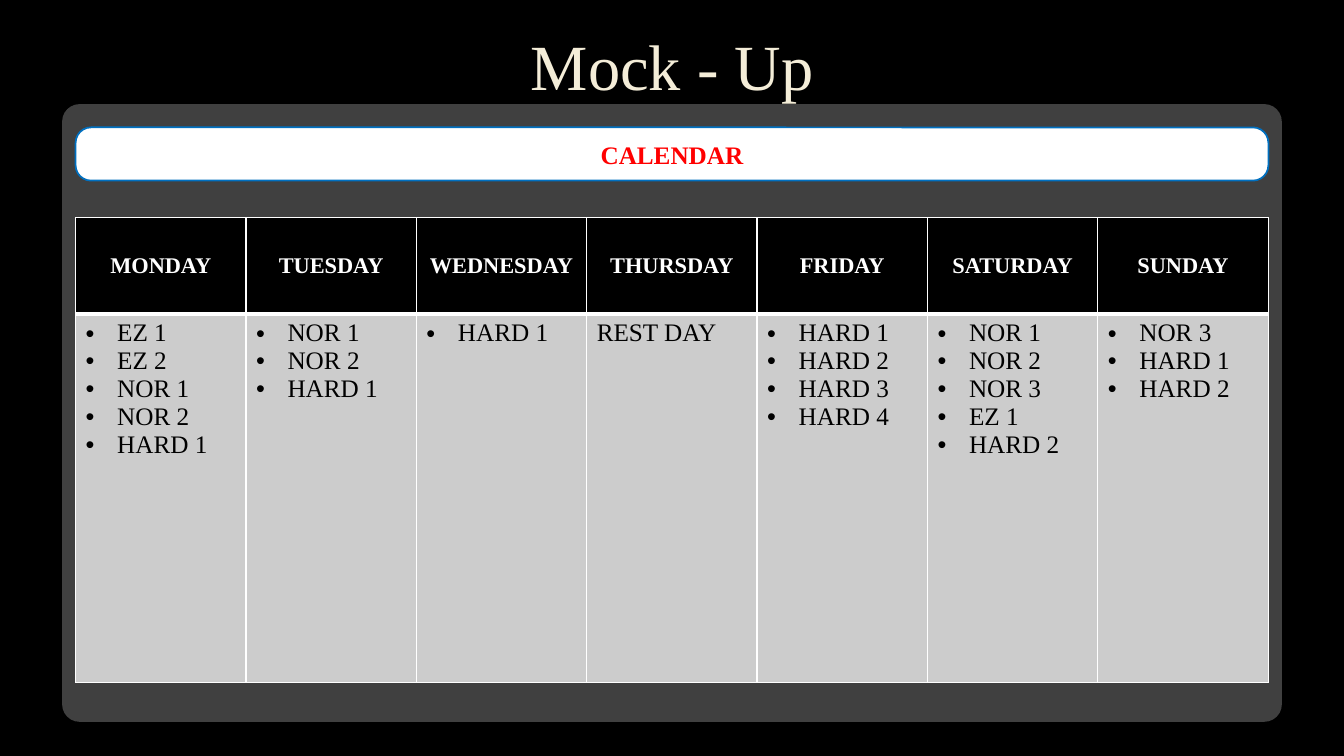
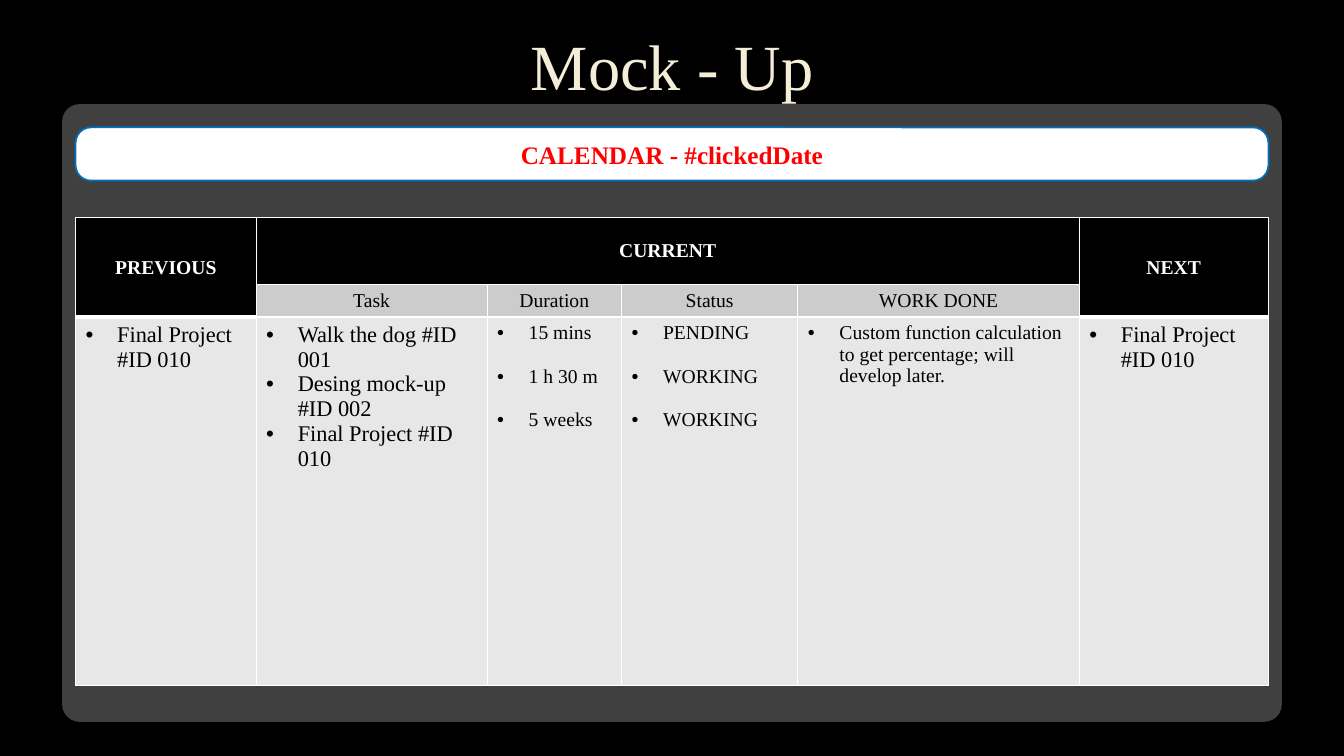
import pptx
import pptx.util
import pptx.dml.color
import pptx.enum.shapes
import pptx.enum.text
import pptx.oxml
import pptx.oxml.ns

Pt = pptx.util.Pt
ALIGN = pptx.enum.text.PP_ALIGN
MIDDLE = pptx.enum.text.MSO_ANCHOR.MIDDLE
FONT = "Times New Roman"
COLORS = {
    "black": "000000",
    "white": "FFFFFF",
    "cream": "F4EDD8",
    "panel": "404040",
    "blue": "0070C0",
    "red": "FF0000",
    "mid": "CCCCCC",
    "light": "E7E7E7",
}
LEFT, WIDTH = 54, 852
TABLE_TOP = 155.5
BODY_HEIGHT = 263
INDENT = 22.5
BLANK_LINE = 15.6
RULE, HEAVY = 1, 3

WEEK = {
    "MONDAY": ["EZ 1", "EZ 2", "NOR 1", "NOR 2", "HARD 1"],
    "TUESDAY": ["NOR 1", "NOR 2", "HARD 1"],
    "WEDNESDAY": ["HARD 1"],
    "THURSDAY": ["REST DAY"],
    "FRIDAY": ["HARD 1", "HARD 2", "HARD 3", "HARD 4"],
    "SATURDAY": ["NOR 1", "NOR 2", "NOR 3", "EZ 1", "HARD 2"],
    "SUNDAY": ["NOR 3", "HARD 1", "HARD 2"],
}
DAY_WIDTHS = [129, 165, 96, 126, 201, 135]
DAY_LABELS = ["Task", "Duration", "Status", "WORK DONE"]
DAY_ITEMS = [
    (["Final Project #ID 010"], 16, 0),
    (["Walk the dog #ID 001", "Desing mock-up #ID 002", "Final Project #ID 010"], 16, 0),
    (["15 mins", "1 h 30 m", "5 weeks"], 14, BLANK_LINE),
    (["PENDING", "WORKING", "WORKING"], 14, BLANK_LINE),
    (["Custom function calculation to get percentage; will develop later."], 14, 0),
    (["Final Project #ID 010"], 16, 0),
]


def rgb(name):
    """Return the named colour."""
    return pptx.dml.color.RGBColor.from_string(COLORS[name])


def xml(text):
    """Parse an element in the drawing namespace."""
    ns = pptx.oxml.ns.nsdecls("a")
    return pptx.oxml.parse_xml(text.replace(" ", f" {ns} ", 1))


def format_text(p, size, color, bold=False, align=ALIGN.LEFT):
    """Format a paragraph's runs and set its alignment."""
    p.alignment = align
    for r in p.runs:
        r.font.name = FONT
        r.font.size = Pt(size)
        r.font.bold = bold
        r.font.color.rgb = rgb(color)


def add_title(s, text):
    """Place and format the slide title with its faint outline."""
    sp = s.shapes.title
    sp.left, sp.top, sp.width, sp.height = Pt(72.5), Pt(0), Pt(815), Pt(99.5)
    tf = sp.text_frame
    tf.text = text
    tf.auto_size = pptx.enum.text.MSO_AUTO_SIZE.NONE
    tf.vertical_anchor = MIDDLE
    p = tf.paragraphs[0]
    p.line_spacing = 0.9
    format_text(p, 46, "cream", align=ALIGN.CENTER)
    p.runs[0].font._element.insert(0, xml(
        f'<a:ln w="{Pt(0.75)}"><a:solidFill><a:srgbClr val="{COLORS["panel"]}">'
        '<a:alpha val="10000"/></a:srgbClr></a:solidFill></a:ln>'))


def add_round_box(s, left, top, width, height, radius, fill, line):
    """Add a rounded rectangle and return it."""
    sp = s.shapes.add_shape(
        pptx.enum.shapes.MSO_SHAPE.ROUNDED_RECTANGLE,
        Pt(left), Pt(top), Pt(width), Pt(height))
    sp.adjustments[0] = radius
    sp.shadow.inherit = False
    sp.fill.solid()
    sp.fill.fore_color.rgb = rgb(fill)
    sp.line.color.rgb = rgb(line)
    sp.line.width = Pt(1.25)
    return sp


def add_calendar_slide(prs, heading):
    """Add a slide with the title, panel and heading bar."""
    s = prs.slides.add_slide(prs.slide_layouts[5])
    add_title(s, "Mock - Up")
    add_round_box(s, 45, 75, 870, 440, 0.027, "panel", "panel")
    bar = add_round_box(s, LEFT, 91, WIDTH, 38, 0.29, "white", "blue")
    tf = bar.text_frame
    tf.text = heading
    tf.vertical_anchor = MIDDLE
    format_text(tf.paragraphs[0], 18, "red", True, ALIGN.CENTER)
    return s


def add_grid(s, widths, heights):
    """Add a table with the given column widths and row heights."""
    table = s.shapes.add_table(
        len(heights), len(widths), Pt(LEFT), Pt(TABLE_TOP),
        Pt(sum(widths)), Pt(sum(heights))).table
    for column, width in zip(table.columns, widths):
        column.width = Pt(width)
    for row, height in zip(table.rows, heights):
        row.height = Pt(height)
    return table


def paint_cell(cell, fill, top=RULE, bottom=RULE):
    """Set a cell's white borders and its fill."""
    tc_pr = cell._tc.get_or_add_tcPr()
    for side, width in zip("LRTB", (RULE, RULE, top, bottom)):
        tc_pr.append(xml(
            f'<a:ln{side} w="{Pt(width)}"><a:solidFill>'
            f'<a:srgbClr val="{COLORS["white"]}"/></a:solidFill></a:ln{side}>'))
    cell.fill.solid()
    cell.fill.fore_color.rgb = rgb(fill)


def label_cell(cell, text, size, color="white", bold=True):
    """Write a centred label in a cell."""
    cell.text_frame.text = text
    cell.vertical_anchor = MIDDLE
    format_text(cell.text_frame.paragraphs[0], size, color, bold, ALIGN.CENTER)


def list_cell(cell, items, size, gap=0, bullets=True):
    """Write one paragraph per item in a cell."""
    tf = cell.text_frame
    tf.text = "\n".join(items)
    for i, p in enumerate(tf.paragraphs):
        if bullets:
            p_pr = p._p.get_or_add_pPr()
            p_pr.set("marL", str(Pt(INDENT)))
            p_pr.set("indent", str(-Pt(INDENT)))
            p_pr.append(xml('<a:buFont typeface="Arial"/>'))
            p_pr.append(xml('<a:buChar char="•"/>'))
        if i and gap:
            p.space_before = Pt(gap)
        format_text(p, size, "black")


def add_week_table(s):
    """Add the table of the week's tasks."""
    table = add_grid(s, [WIDTH / len(WEEK)] * len(WEEK), [69, BODY_HEIGHT])
    for col, (day, items) in enumerate(WEEK.items()):
        head, body = table.cell(0, col), table.cell(1, col)
        paint_cell(head, "black", bottom=HEAVY)
        label_cell(head, day, 16)
        paint_cell(body, "mid", top=HEAVY)
        list_cell(body, items, 18, bullets=items != ["REST DAY"])


def add_day_table(s):
    """Add the table of previous, current and next tasks."""
    table = add_grid(s, DAY_WIDTHS, [48, 23, BODY_HEIGHT])
    last = len(DAY_WIDTHS) - 1
    for col, (items, size, gap) in enumerate(DAY_ITEMS):
        outer = col in (0, last)
        edge = HEAVY if outer else RULE
        paint_cell(table.cell(0, col), "black", bottom=edge)
        paint_cell(table.cell(1, col), "black" if outer else "mid", bottom=edge)
        paint_cell(table.cell(2, col), "light", top=edge)
        list_cell(table.cell(2, col), items, size, gap)
    for col, text, end in ((0, "PREVIOUS", (1, 0)), (1, "CURRENT", (0, last - 1)),
                           (last, "NEXT", (1, last))):
        table.cell(0, col).merge(table.cell(*end))
        label_cell(table.cell(0, col), text, 14)
    for col, text in enumerate(DAY_LABELS, 1):
        label_cell(table.cell(1, col), text, 14, "black", False)


def main():
    """Build and save the presentation."""
    prs = pptx.Presentation()
    prs.slide_width, prs.slide_height = Pt(960), Pt(540)
    background = prs.slide_master.background.fill
    background.solid()
    background.fore_color.rgb = rgb("black")
    add_week_table(add_calendar_slide(prs, "CALENDAR"))
    add_day_table(add_calendar_slide(prs, "CALENDAR - #clickedDate"))
    prs.save("out.pptx")


if __name__ == "__main__":
    main()
